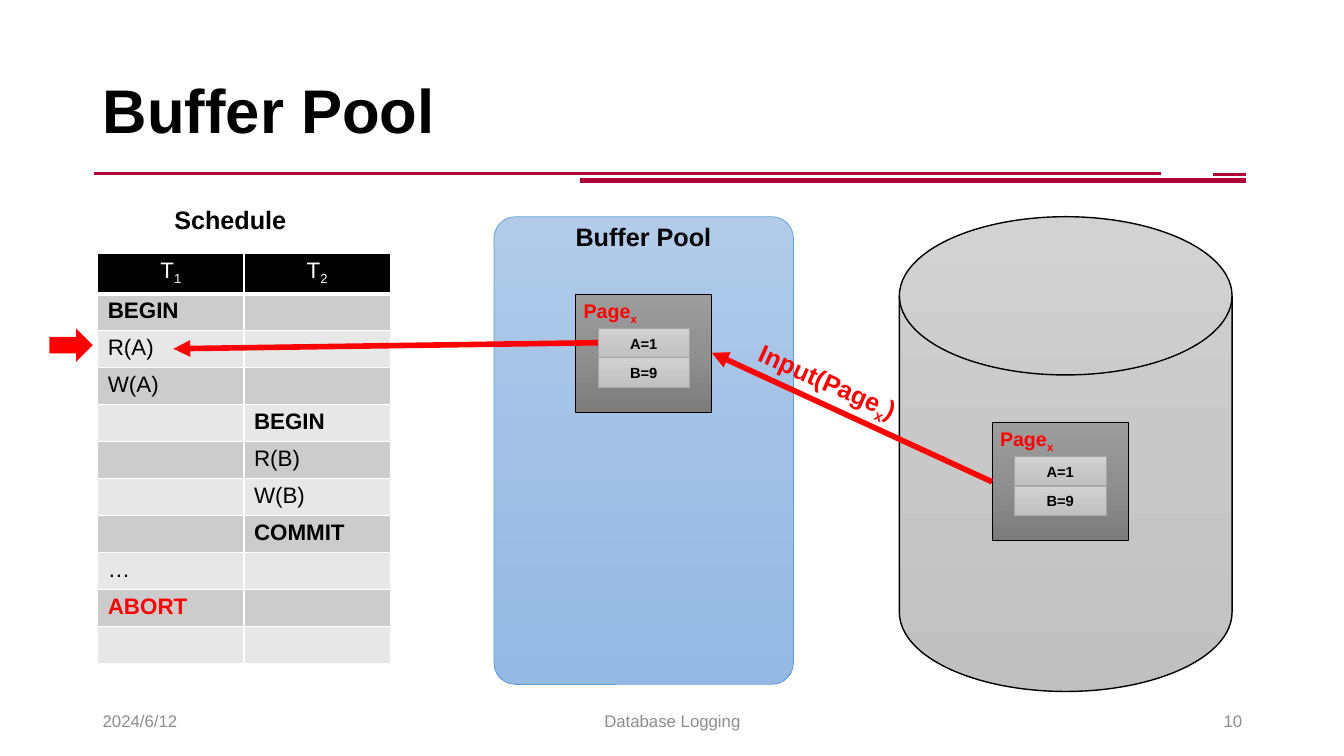
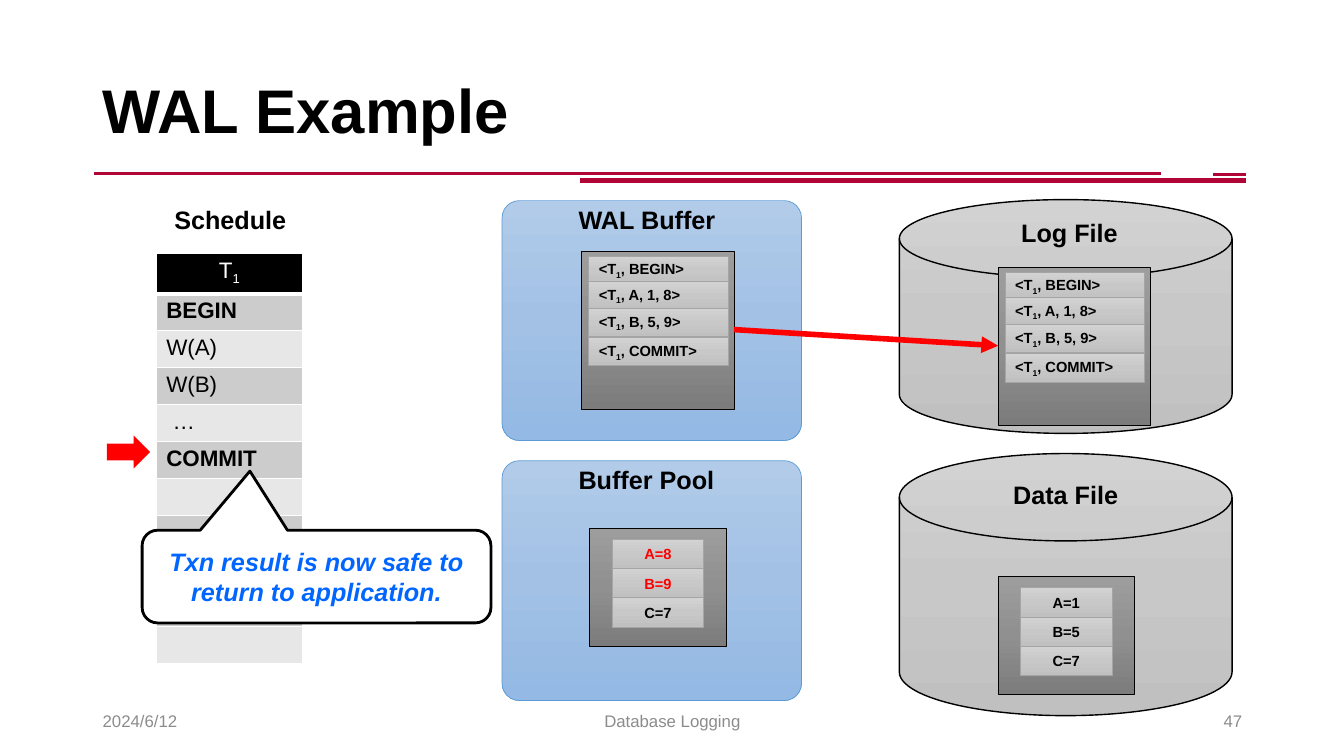
"""Builds two slides on buffer pools and write-ahead logging."""
from copy import deepcopy

from lxml.etree import SubElement
from pptx import Presentation
from pptx.dml.color import RGBColor
from pptx.enum.shapes import MSO_CONNECTOR, MSO_SHAPE as Shape
from pptx.enum.text import MSO_ANCHOR as Anchor, PP_ALIGN as Align
from pptx.oxml.ns import qn
from pptx.util import Inches, Pt

FONT = "Arial"
BLACK, WHITE, RED, BLUE = "000000", "FFFFFF", "FF0000", "0066FF"
RULE, MUTED, EDGE, RIM = "B20537", "8C8C8C", "A5A5A5", "5B9BD5"
BANDS = "CCCCCC", "E7E7E7"
SILVER = "D2D2D2", "C8C8C8", "C0C0C0"
SKY = "B1CBE9", "A3C1E5", "93B9E4"
STEEL = "9D9D9D", "909090", "7C7C7C"
BOLD = "BEGIN", "COMMIT", "ABORT"

DATE, TOPIC = "2024/6/12", "Database Logging"
RULES = [
    ((0.93, 1.72), (11.52, 1.72), 2),
    ((5.75, 1.79), (12.36, 1.79), 4),
    ((12.03, 1.73), (12.36, 1.73), 2),
]
RECORDS = ["<T|1|, BEGIN>", "<T|1|, A, 1, 8>", "<T|1|, B, 5, 9>", "<T|1|, COMMIT>"]
STEPS = [0.05, 0.3, 0.57, 0.86]

SLIDES = [
    {
        "title": "Buffer Pool",
        "num": "10",
        "disks": [(2.15, 4.71)],
        "pools": [(4.9, 2.15, 4.64)],
        "heads": [("Buffer Pool", 5.61, 2.15), ("Schedule", 1.63, 1.98)],
        "plan": (0.97, [
            ["T|1", "BEGIN", "R(A)", "W(A)", "", "", "", "", "…", "ABORT", ""],
            ["T|2", "", "", "", "BEGIN", "R(B)", "W(B)", "COMMIT", "", "", ""],
        ]),
        "mark": (0.49, 3.26),
        "pages": [
            (9.84, 4.19, "Page|x", ["A=1", "B=9"], []),
            (5.71, 2.92, "Page|x", ["A=1", "B=9"], []),
        ],
        "logs": [],
        "flows": [((9.84, 4.78), (7.06, 3.5)), ((5.93, 3.4), (1.72, 3.46))],
        "tilt": "Input(Page|x|)",
        "note": [],
    },
    {
        "title": "WAL Example",
        "num": "47",
        "disks": [(4.5, 2.6), (1.98, 2.32)],
        "pools": [(4.98, 4.57, 2.38), (4.98, 1.99, 2.38)],
        "heads": [
            ("Buffer Pool", 5.64, 4.56),
            ("Schedule", 1.63, 1.98),
            ("WAL Buffer", 5.64, 1.98),
            ("Data File", 9.95, 4.71),
            ("Log File", 10.03, 2.11),
        ],
        "plan": (1.55, [
            ["T|1", "BEGIN", "W(A)", "W(B)", " …", "COMMIT", "", "", "", "", ""],
        ]),
        "mark": (1.06, 4.32),
        "pages": [
            (9.9, 5.72, "", ["A=1", "B=5", "C=7"], []),
            (5.85, 5.24, "", ["A=8", "B=9", "C=7"], ["A=8", "B=9"]),
        ],
        "logs": [(5.77, 2.49), (9.9, 2.65)],
        "flows": [((7.28, 3.27), (9.9, 3.43))],
        "tilt": "",
        "note": ["Txn result is now safe to", "return to application."],
    },
]


def rgb(code):
    """Turn a hex string into a colour."""
    return RGBColor.from_string(code)


def write(par, text, size, color=BLACK, bold=True, italic=False, align=Align.LEFT):
    """Add runs to a paragraph; every second part between bars is a subscript."""
    par.alignment = align
    for i, part in enumerate(text.split("|")):
        run = par.add_run()
        run.text = part
        font = run.font
        font.name, font.size, font.bold, font.italic = FONT, Pt(size), bold, italic
        font.color.rgb = rgb(color)
        if i % 2:
            font._element.set("baseline", "-25000")


def label(slide, box, text, size, wrap=False, anchor=Anchor.TOP, **style):
    """Add a text box holding one paragraph."""
    shape = slide.shapes.add_textbox(*map(Inches, box))
    frame = shape.text_frame
    frame.word_wrap, frame.vertical_anchor = wrap, anchor
    write(frame.paragraphs[0], text, size, **style)
    return shape


def block(slide, kind, box, fill, line=None, width=0.5):
    """Add a preset shape with a plain fill or a three-stop gradient."""
    shape = slide.shapes.add_shape(kind, *map(Inches, box))
    shape.shadow.inherit = False
    paint = shape.fill
    if isinstance(fill, str):
        paint.solid()
        paint.fore_color.rgb = rgb(fill)
    else:
        paint.gradient()
        paint.gradient_angle = 270
        stops = next(shape._element.iter(qn("a:gsLst")))
        stops.insert(1, deepcopy(stops[0]))
        for stop, spot, code in zip(paint.gradient_stops, (0, 0.5, 1), fill):
            stop.position, stop.color.rgb = spot, rgb(code)
    if line:
        shape.line.color.rgb, shape.line.width = rgb(line), Pt(width)
    else:
        shape.line.fill.background()
    shape.text_frame.vertical_anchor = Anchor.MIDDLE
    return shape


def stroke(slide, start, end, color, width, head=False):
    """Add a straight line, with an arrowhead at its end if asked."""
    ends = map(Inches, start + end)
    link = slide.shapes.add_connector(MSO_CONNECTOR.STRAIGHT, *ends)
    link.line.color.rgb, link.line.width = rgb(color), Pt(width)
    if head:
        SubElement(link.line._get_or_add_ln(), qn("a:tailEnd"), type="triangle")
    SubElement(link._element.spPr, qn("a:effectLst"))


def border(cell, low):
    """Give a cell white borders, the bottom one as wide as told."""
    props = cell._tc.get_or_add_tcPr()
    for side, width in zip("LRTB", (1, 1, 1, low)):
        line = SubElement(props, qn("a:ln" + side), w=str(Pt(width)))
        paint = SubElement(line, qn("a:solidFill"))
        SubElement(paint, qn("a:srgbClr"), val=WHITE)


def schedule(slide, left, cols):
    """Add the table of transaction steps, one column per transaction."""
    count = len(cols[0])
    box = map(Inches, (left, 2.51, 1.45 * len(cols), 4.03))
    table = slide.shapes.add_table(count, len(cols), *box).table
    for row in table.rows:
        row.height = Inches(4.03 / count)
    for c, texts in enumerate(cols):
        for r, text in enumerate(texts):
            cell, top = table.cell(r, c), r == 0
            border(cell, 3 if top else 1)
            cell.fill.solid()
            cell.fill.fore_color.rgb = rgb(BLACK if top else BANDS[(r - 1) % 2])
            par = cell.text_frame.paragraphs[0]
            if not text:
                par._p.get_or_add_endParaRPr().set("sz", "1600")
                continue
            color = WHITE if top else RED if text == "ABORT" else BLACK
            align = Align.CENTER if top else Align.LEFT
            write(par, text, 16, color, text in BOLD, align=align)


def slot(slide, box, text, **style):
    """Add one silver entry of a page."""
    shape = block(slide, Shape.RECTANGLE, box, SILVER, EDGE)
    write(shape.text_frame.paragraphs[0], text, 10.5, **style)


def page(slide, left, top, name, items, hot):
    """Add a data page with its values stacked inside."""
    block(slide, Shape.RECTANGLE, (left, top, 1.35, 1.17), STEEL, BLACK)
    if name:
        label(slide, (left - 0.02, top, 0.74, 0.34), name, 14, color=RED)
    first = top + (0.34 if name else 0.11)
    for i, item in enumerate(items):
        box = left + 0.22, first + 0.29 * i, 0.91, 0.29
        color = RED if item in hot else BLACK
        slot(slide, box, item, color=color, align=Align.CENTER)


def log(slide, left, top):
    """Add a log page with its records."""
    block(slide, Shape.RECTANGLE, (left, top, 1.51, 1.57), STEEL, BLACK)
    for step, text in zip(STEPS, RECORDS):
        slot(slide, (left + 0.07, top + step, 1.38, 0.28), text)


def callout(slide, lines):
    """Add the speech bubble."""
    kind = Shape.ROUNDED_RECTANGULAR_CALLOUT
    shape = block(slide, kind, (1.41, 5.26, 3.46, 0.92), WHITE, BLACK, 2)
    for i, value in enumerate((-0.191, -1.137, 0.167)):
        shape.adjustments[i] = value
    frame = shape.text_frame
    for i, text in enumerate(lines):
        par = frame.add_paragraph() if i else frame.paragraphs[0]
        write(par, text, 18, BLUE, italic=True, align=Align.CENTER)


def base(slide, title, num):
    """Add the rules, title and footers that all slides share."""
    for start, end, width in RULES:
        stroke(slide, start, end, RULE, width)
    mid = {"wrap": True, "anchor": Anchor.MIDDLE}
    head = label(slide, (0.92, 0.4, 11.5, 1.45), title, 44, **mid)
    head.text_frame.paragraphs[0].line_spacing = 0.9
    feet = [
        (DATE, 0.92, 3, Align.LEFT),
        (TOPIC, 4.42, 4.5, Align.CENTER),
        (num, 9.42, 3, Align.RIGHT),
    ]
    for text, left, width, align in feet:
        box = left, 6.95, width, 0.4
        label(slide, box, text, 12, color=MUTED, bold=False, align=align, **mid)


def build(slide, data):
    """Draw one slide from its data."""
    base(slide, data["title"], data["num"])
    for top, high in data["disks"]:
        box = 8.92, top, 3.3, high
        block(slide, Shape.FLOWCHART_MAGNETIC_DISK, box, SILVER, BLACK, 1)
    for left, top, high in data["pools"]:
        box = left, top, 2.97, high
        pool = block(slide, Shape.ROUNDED_RECTANGLE, box, SKY, RIM)
        pool.adjustments[0] = 0.072
    schedule(slide, *data["plan"])
    for text, left, top in data["heads"]:
        wide = {"Schedule": 1.32, "Data File": 1.25, "Log File": 1.17}.get(text, 1.56)
        label(slide, (left, top, wide, 0.4), text, 18)
    block(slide, Shape.RIGHT_ARROW, (*data["mark"], 0.43, 0.33), RED)
    for item in data["pages"]:
        page(slide, *item)
    for spot in data["logs"]:
        log(slide, *spot)
    for start, end in data["flows"]:
        stroke(slide, start, end, RED, 4, True)
    if data["tilt"]:
        label(slide, (7.38, 3.6, 1.73, 0.4), data["tilt"], 18, color=RED).rotation = 24
    if data["note"]:
        callout(slide, data["note"])


def main():
    """Build and save the deck."""
    deck = Presentation()
    deck.slide_width, deck.slide_height = Inches(13.33), Inches(7.5)
    for data in SLIDES:
        build(deck.slides.add_slide(deck.slide_layouts[6]), data)
    deck.save("out.pptx")


if __name__ == "__main__":
    main()
